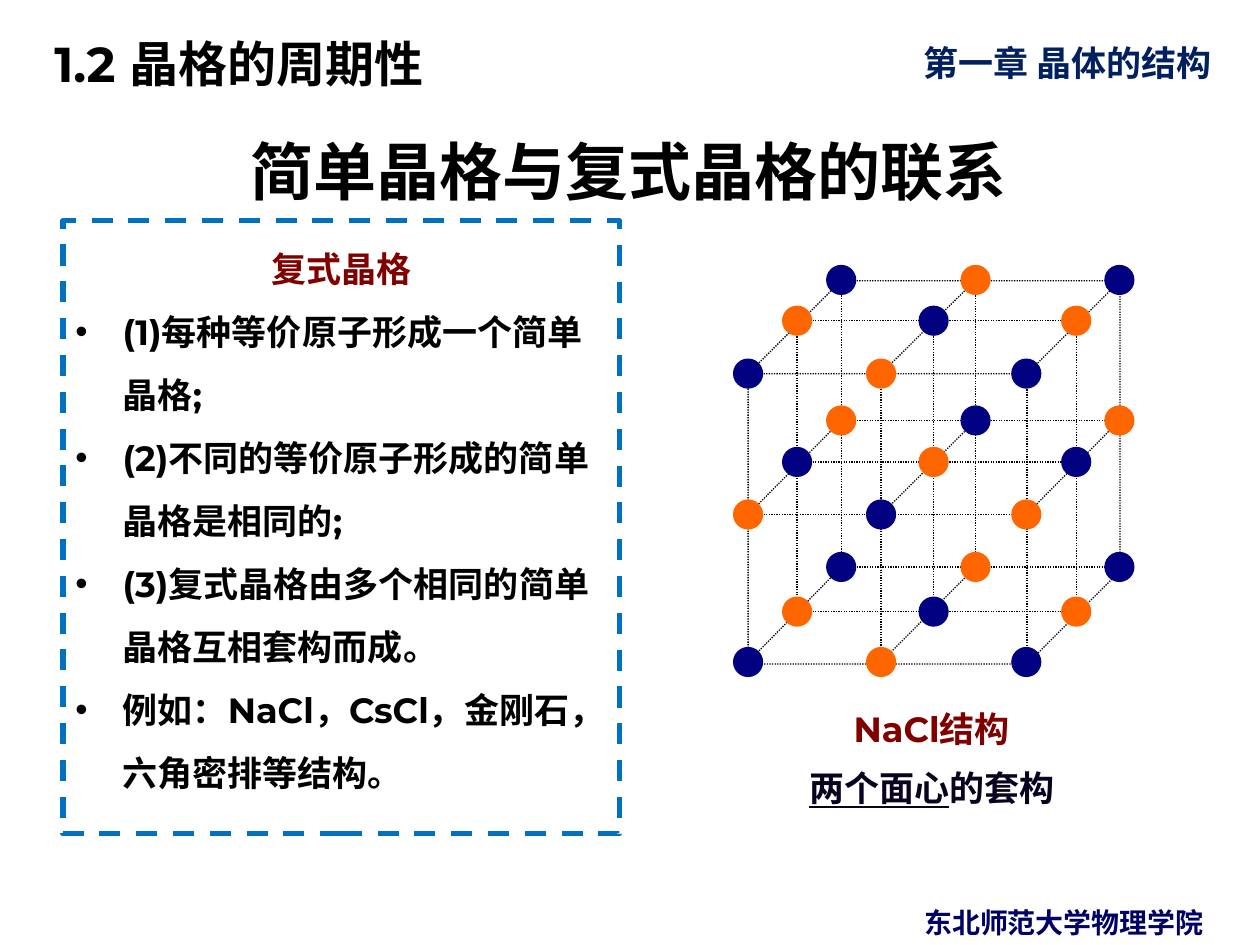
from itertools import product

from lxml import etree
from pptx import Presentation
from pptx.dml.color import RGBColor
from pptx.enum.dml import MSO_LINE_DASH_STYLE as Dash
from pptx.enum.lang import MSO_LANGUAGE_ID as Language
from pptx.enum.shapes import MSO_CONNECTOR as Connector, MSO_SHAPE as Shape
from pptx.enum.text import MSO_ANCHOR as Anchor, PP_ALIGN as Align
from pptx.oxml.ns import qn
from pptx.util import Pt

LATIN = "Montserrat"
CHINESE = "Noto Sans CJK SC"
BLACK, DARK_RED, NAVY, ORANGE = "000000", "800000", "000080", "FF6600"

# Atom centres, one row of three per depth: front, middle, back
COLUMNS = [(427.5, 503.5, 586.5), (455.5, 533.5, 615), (480.7, 557.5, 639.7)]
ROWS = [(213.5, 294, 378.3), (183.3, 264, 349.5), (160, 240.3, 324)]
ATOM_SIZE = 16.5

RULES = [
    "(1)每种等价原子形成一个简单晶格;",
    "(2)不同的等价原子形成的简单晶格是相同的;",
    "(3)复式晶格由多个相同的简单晶格互相套构而成。",
    "例如：NaCl，CsCl，金刚石，六角密排等结构。",
]


def color(value):
    return RGBColor.from_string(value)


def set_line(line, value, width, dash=None):
    line.color.rgb = color(value)
    line.width = Pt(width)
    if dash is not None:
        line.dash_style = dash


def add_span(para, text, size, value, font=LATIN, underline=None):
    span = para.add_run()
    span.text = text
    span.font.name = font
    span.font.size = Pt(size)
    span.font.bold = True
    span.font.underline = underline
    span.font.language_id = Language.SIMPLIFIED_CHINESE
    span.font.color.rgb = color(value)


def add_bullet(para, indent):
    properties = para._p.get_or_add_pPr()
    properties.set("marL", str(Pt(indent)))
    properties.set("indent", str(-Pt(indent)))
    etree.SubElement(properties, qn("a:buFont")).set("typeface", "Arial")
    etree.SubElement(properties, qn("a:buChar")).set("char", "•")


def add_text_box(page, left, top, width, height, anchor=Anchor.TOP,
                 align=Align.LEFT, spacing=None):
    frame = page.shapes.add_textbox(
        Pt(left), Pt(top), Pt(width), Pt(height)).text_frame
    frame.word_wrap = True
    frame.vertical_anchor = anchor
    para = frame.paragraphs[0]
    para.alignment = align
    para.line_spacing = spacing
    return frame, para


def add_headings(page):
    _, para = add_text_box(page, 520.5, 20, 204, 31)
    add_span(para, "第一章 晶体的结构", 20, "002060")

    frame, para = add_text_box(page, 0, 8.5, 588, 46, Anchor.MIDDLE, spacing=1.25)
    frame.margin_left = Pt(31)
    add_span(para, "1.2 晶格的周期性", 28, BLACK)

    _, para = add_text_box(page, 496, 514, 224, 26.5, align=Align.CENTER)
    add_span(para, "东北师范大学物理学院", 16, "000066", CHINESE)

    _, para = add_text_box(page, 34.5, 64, 649.5, 59, Anchor.BOTTOM,
                           Align.CENTER, 0.9)
    add_span(para, "简单晶格与复式晶格的联系", 36, BLACK)


def add_rules_panel(page):
    panel = page.shapes.add_shape(
        Shape.RECTANGLE, Pt(36), Pt(126), Pt(318), Pt(350.5))
    panel.shadow.inherit = False
    panel.fill.background()
    set_line(panel.line, "0070C0", 3, Dash.DASH)
    frame = panel.text_frame
    frame.word_wrap = True
    frame.vertical_anchor = Anchor.TOP

    para = frame.paragraphs[0]
    para.alignment = Align.CENTER
    para.line_spacing = 1.5
    add_span(para, "复式晶格", 20, DARK_RED)
    for rule in RULES:
        para = frame.add_paragraph()
        para.alignment = Align.LEFT
        para.line_spacing = 1.5
        add_bullet(para, 27)
        add_span(para, rule, 20, BLACK)


def add_bond(group, start, end):
    bond = group.shapes.add_connector(
        Connector.STRAIGHT, *(Pt(value) for value in start + end))
    set_line(bond.line, BLACK, 0.75, Dash.ROUND_DOT)
    etree.SubElement(bond._element.spPr, qn("a:effectLst"))


def add_atom(group, centre, value):
    left, top = (Pt(middle - ATOM_SIZE / 2) for middle in centre)
    atom = group.shapes.add_shape(
        Shape.OVAL, left, top, Pt(ATOM_SIZE), Pt(ATOM_SIZE))
    atom.shadow.inherit = False
    atom.fill.solid()
    atom.fill.fore_color.rgb = color(value)
    set_line(atom.line, value, 0.75)


def add_lattice(page):
    group = page.shapes.add_group_shape()

    # The cube draws its nine visible edges
    cube = group.shapes.add_shape(
        Shape.CUBE, Pt(427.5), Pt(160.5), Pt(212.5), Pt(219))
    cube.adjustments[0] = 0.25
    cube.shadow.inherit = False
    cube.fill.background()
    set_line(cube.line, BLACK, 0.75, Dash.ROUND_DOT)

    def place(column, row, depth):
        return COLUMNS[depth][column], ROWS[depth][row]

    # Every other bond runs straight through the lattice
    for row, depth in product(range(3), repeat=2):
        if (row, depth) not in [(0, 0), (2, 0), (0, 2)]:
            add_bond(group, place(0, row, depth), place(2, row, depth))
    for column, depth in product(range(3), repeat=2):
        if (column, depth) not in [(0, 0), (2, 0), (2, 2)]:
            add_bond(group, place(column, 0, depth), place(column, 2, depth))
    for column, row in product(range(3), repeat=2):
        if (column, row) not in [(0, 0), (2, 0), (2, 2)]:
            add_bond(group, place(column, row, 2), place(column, row, 0))

    # The two kinds of atom alternate along each axis
    for site in product(range(3), repeat=3):
        add_atom(group, place(*site), ORANGE if sum(site) % 2 else NAVY)


def add_caption(page):
    frame, para = add_text_box(page, 427.5, 400.5, 210, 67.5, align=Align.CENTER)
    add_span(para, "NaCl结构", 20, DARK_RED)
    para = frame.add_paragraph()
    para.alignment = Align.CENTER
    para.space_before = Pt(10)
    add_span(para, "两个面心", 20, "0A031F", underline=True)
    add_span(para, "的套构", 20, "0A031F")


def main():
    deck = Presentation()
    deck.slide_width, deck.slide_height = Pt(720), Pt(540)
    page = deck.slides.add_slide(deck.slide_layouts[6])
    add_headings(page)
    add_rules_panel(page)
    add_lattice(page)
    add_caption(page)
    deck.save("out.pptx")


if __name__ == "__main__":
    main()
